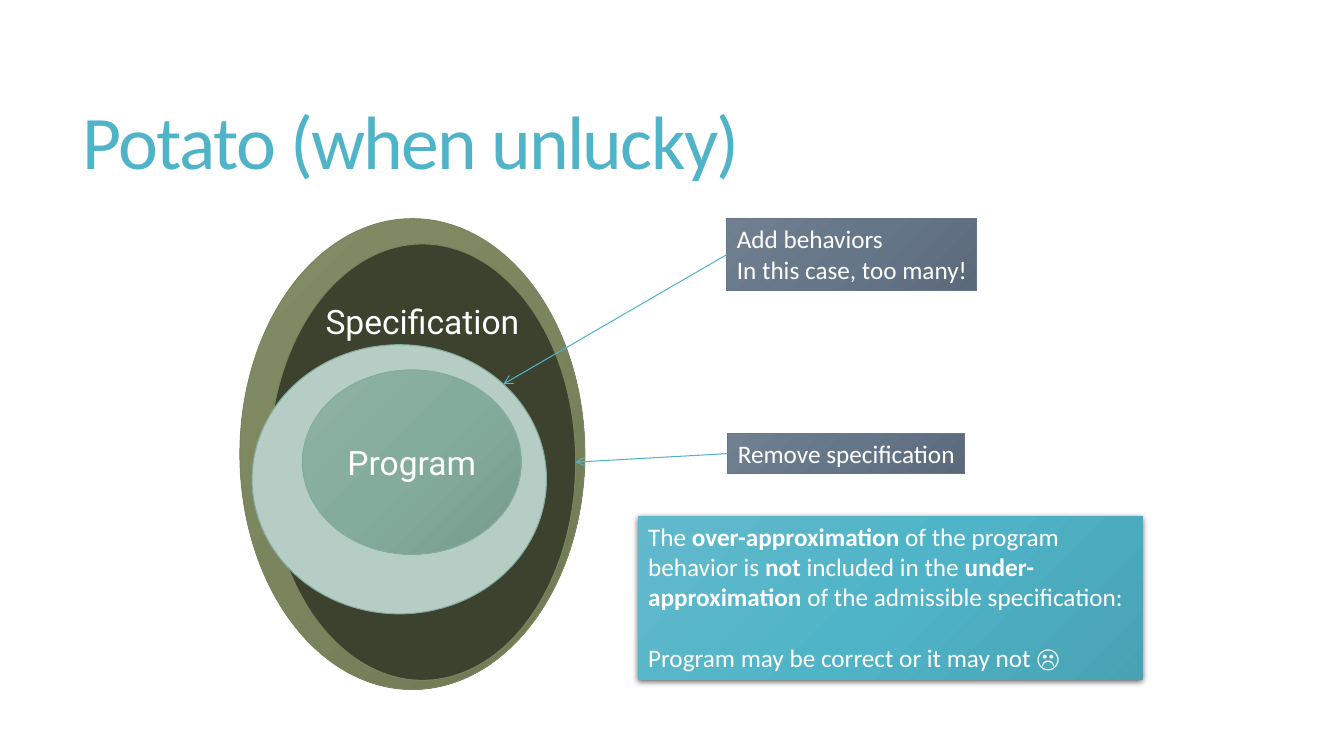
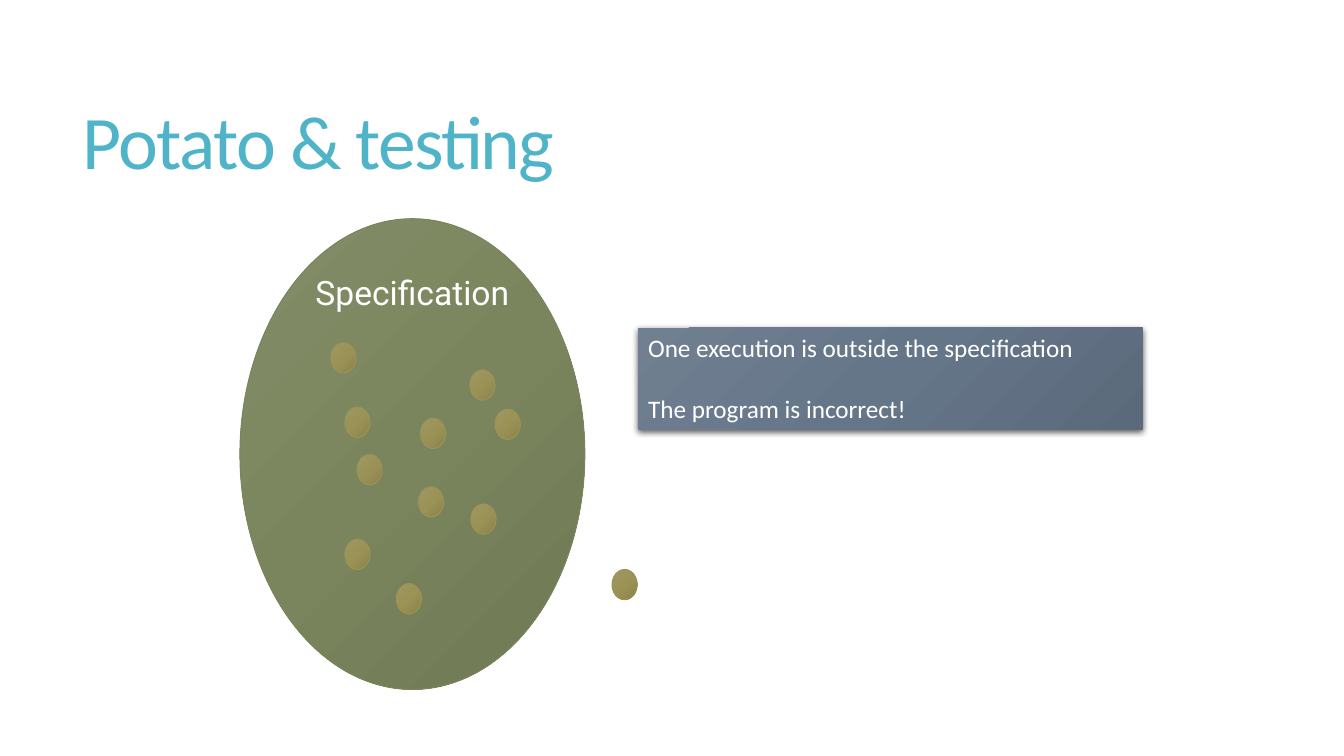
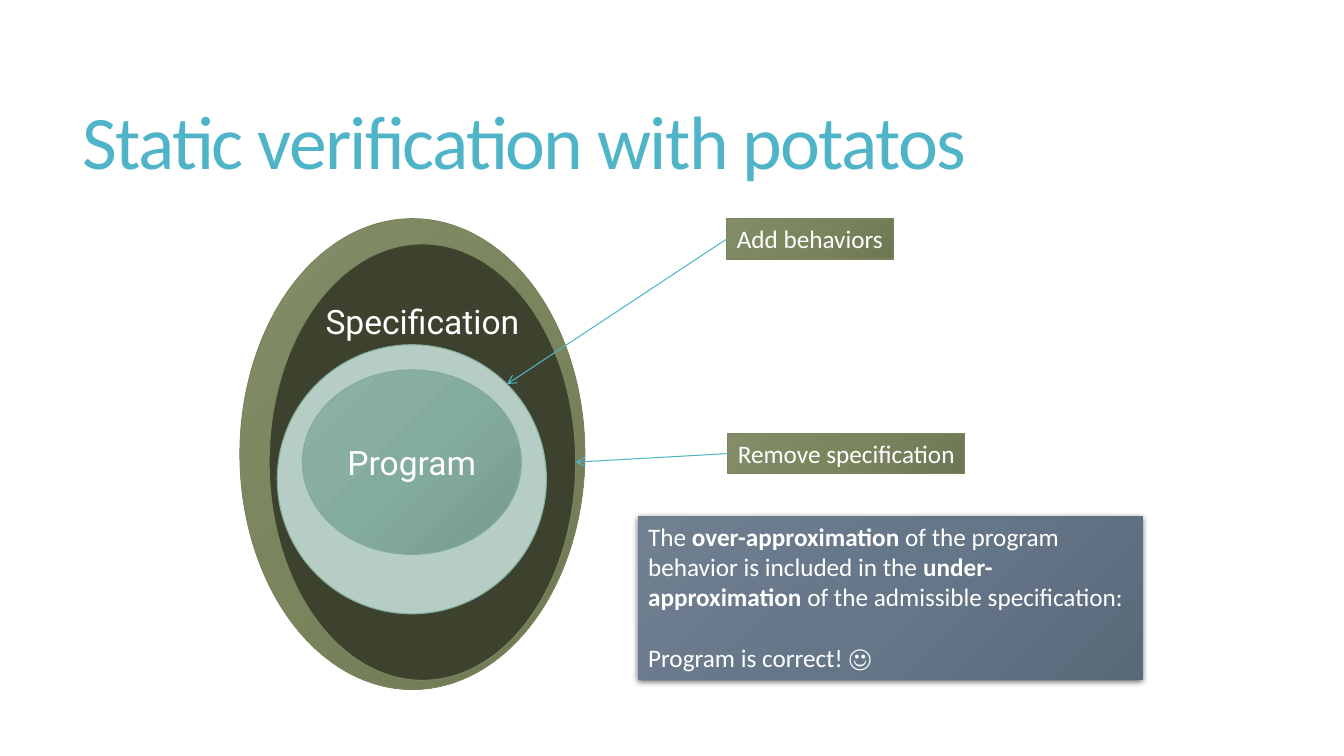
from dataclasses import dataclass
from math import cos, radians, sin

from lxml import etree
from pptx import Presentation
from pptx.dml.color import RGBColor
from pptx.enum.shapes import MSO_CONNECTOR, MSO_SHAPE
from pptx.enum.text import MSO_ANCHOR, MSO_AUTO_SIZE, PP_ALIGN
from pptx.oxml.ns import qn
from pptx.util import Inches, Pt

OVAL, RECT = MSO_SHAPE.OVAL, MSO_SHAPE.RECTANGLE
STRAIGHT = MSO_CONNECTOR.STRAIGHT
TOP, MIDDLE = MSO_ANCHOR.TOP, MSO_ANCHOR.MIDDLE
LEFT, CENTER = PP_ALIGN.LEFT, PP_ALIGN.CENTER
NO_FIT = MSO_AUTO_SIZE.NONE
TITLE_ONLY = 5
LEFT_SITE = 1


@dataclass(frozen=True)
class Theme:
    # Gradients run from the top left to the bottom right
    olive: tuple = ("838E69", "7A855D", "6E7754")
    slate: tuple = ("718091", "657689", "5B6A7B")
    teal: tuple = ("61B9CB", "50B4C8", "48A2B4")
    sage: tuple = ("8EB2A4", "84AC9D", "769B8D")
    ochre: tuple = ("A19965", "9B9256", "8B834D")
    dark_olive: str = "3D422E"
    pale_sage: str = "B5CDC4"
    accent: str = "50B4C8"
    white: str = "FFFFFF"
    text_font: str = "Calibri"
    label_font: str = "Roboto"
    title_size: int = 54
    label_size: int = 24
    text_size: int = 18
    paragraph_gap: int = 22
    line_width: float = 0.75


THEME = Theme()

# Boxes are left, top, width, height in inches
TITLE_BOX = (0.72, 0.55, 11.78, 1.81)
SPECIFICATION = (2.38, 2.17, 3.42, 4.67)
UNDER_SPECIFICATION = (2.67, 2.42, 3.04, 4.33)
PROGRAM = (3, 3.67, 2.17, 1.83)
REMOVE_CALLOUT = (7.22, 4.3, 2.35, 0.4)
VERDICT_BOX = (6.33, 5.12, 5, 1.62)
LABEL_WIDTH, LABEL_HEIGHT = 2.4, 0.5
EXECUTION_SIZE = (0.25, 0.3)


def verdict(relation, conclusion):
    """Two paragraphs of (text, bold) runs about the two approximations."""
    return [
        [("The ", False), ("over-approximation ", True),
         ("of the program behavior is ", False), *relation,
         ("included in the ", False), ("under-approximation ", True),
         ("of the admissible specification:", False)],
        [(conclusion, False)],
    ]


UNLUCKY = {
    "title": "Potato (when unlucky)",
    "over_program": (2.5, 3.42, 2.92, 2.67),
    "add_callout": (7.21, 2.17, 2.48, 0.71),
    "add_lines": ["Add behaviors", "In this case, too many!"],
    "callout_colors": THEME.slate,
    "verdict_colors": THEME.teal,
    "verdict": verdict([("not", True), (" ", False)],
                       "Program may be correct or it may not ☹"),
}
TESTING = {
    "title": "Potato & testing",
    "verdict_box": (6.33, 3.25, 5, 1.01),
    "verdict": [[("One execution is outside the specification", False)],
                [("The program is incorrect!", False)]],
    "executions": [
        (4.17, 4.15), (4.67, 5), (3.54, 4.51), (4.15, 4.83), (4.66, 3.67),
        (3.42, 5.35), (3.28, 3.4), (4.91, 4.06), (3.93, 5.79), (3.42, 4.04),
        (6.07, 5.65),
    ],
}
STATIC = {
    "title": "Static verification with potatos",
    "over_program": (2.75, 3.42, 2.67, 2.67),
    "add_callout": (7.21, 2.17, 1.65, 0.4),
    "add_lines": ["Add behaviors"],
    "callout_colors": THEME.olive,
    "verdict_colors": THEME.slate,
    "verdict": verdict([], "Program is correct! ☺"),
}


def inches(box):
    return [Inches(length) for length in box]


def rgb(color):
    return RGBColor.from_string(color)


def style_font(font, name, size, color, bold=False):
    font.name, font.size, font.bold = name, Pt(size), bold
    font.color.rgb = rgb(color)


def fill_gradient(shape, colors):
    shape.fill.gradient()
    shape.fill.gradient_angle = 315
    stops = shape.element.spPr.find(qn("a:gradFill")).find(qn("a:gsLst"))
    for stop in list(stops):
        stops.remove(stop)
    for position, color in zip((0, 50000, 100000), colors):
        stop = etree.SubElement(stops, qn("a:gs"), pos=str(position))
        etree.SubElement(stop, qn("a:srgbClr"), val=color)


def add_filled(slide, kind, box, fill, outline=None):
    """Fill with a gradient tuple or a single colour."""
    shape = slide.shapes.add_shape(kind, *inches(box))
    shape.shadow.inherit = False
    if isinstance(fill, tuple):
        fill_gradient(shape, fill)
    else:
        shape.fill.solid()
        shape.fill.fore_color.rgb = rgb(fill)
    if outline:
        shape.line.color.rgb = rgb(outline)
        shape.line.width = Pt(THEME.line_width)
    else:
        shape.line.fill.background()
    return shape


def add_shadow(shape):
    effects = shape.element.spPr.find(qn("a:effectLst"))
    shadow = etree.SubElement(
        effects, qn("a:outerShdw"), blurRad=str(Pt(4.5)), dist=str(Pt(1.5)),
        dir="5400000", algn="ctr", rotWithShape="0")
    color = etree.SubElement(shadow, qn("a:srgbClr"), val="000000")
    etree.SubElement(color, qn("a:alpha"), val="63000")


def write_runs(frame, paragraphs, gap=0):
    frame.vertical_anchor = TOP
    frame.auto_size = NO_FIT
    frame.word_wrap = True
    for index, runs in enumerate(paragraphs):
        paragraph = frame.add_paragraph() if index else frame.paragraphs[0]
        paragraph.alignment = LEFT
        if index and gap:
            paragraph.space_before = Pt(gap)
        for text, bold in runs:
            run = paragraph.add_run()
            run.text = text
            style_font(run.font, THEME.text_font, THEME.text_size,
                       THEME.white, bold)


def write_label(frame, text):
    frame.text = text
    frame.vertical_anchor = MIDDLE
    frame.word_wrap = True
    paragraph = frame.paragraphs[0]
    paragraph.alignment = CENTER
    style_font(paragraph.runs[0].font, THEME.label_font, THEME.label_size,
               THEME.white)


def add_specification_label(slide, oval, middle):
    left, _, width, _ = oval
    box = (left + (width - LABEL_WIDTH) / 2, middle - LABEL_HEIGHT / 2,
           LABEL_WIDTH, LABEL_HEIGHT)
    write_label(slide.shapes.add_textbox(*inches(box)).text_frame,
                "Specification")


def add_callout(slide, box, lines, colors):
    callout = add_filled(slide, RECT, box, colors, colors[1])
    # The boxes hug their text, so the right margin is left free for it
    callout.text_frame.margin_right = 0
    write_runs(callout.text_frame, [[(line, False)] for line in lines])
    return callout


def add_verdict(slide, box, paragraphs, colors):
    panel = add_filled(slide, RECT, box, colors)
    add_shadow(panel)
    write_runs(panel.text_frame, paragraphs, THEME.paragraph_gap)


def point_on_oval(oval, degrees):
    left, top, width, height = oval
    angle = radians(degrees)
    return (left + width / 2 * (1 + cos(angle)),
            top + height / 2 * (1 - sin(angle)))


def add_arrow(slide, callout, target):
    arrow = slide.shapes.add_connector(
        STRAIGHT, callout.left, callout.top, *inches(target))
    arrow.begin_connect(callout, LEFT_SITE)
    arrow.line.color.rgb = rgb(THEME.accent)
    arrow.line.width = Pt(THEME.line_width)
    properties = arrow.element.spPr
    etree.SubElement(properties.find(qn("a:ln")), qn("a:tailEnd"),
                     type="arrow")
    etree.SubElement(properties, qn("a:effectLst"))


def add_titled_slide(deck, text):
    slide = deck.slides.add_slide(deck.slide_layouts[TITLE_ONLY])
    title = slide.shapes.title
    title.left, title.top, title.width, title.height = inches(TITLE_BOX)
    frame = title.text_frame
    frame.text = text
    frame.vertical_anchor = MIDDLE
    frame.auto_size = NO_FIT
    paragraph = frame.paragraphs[0]
    paragraph.alignment = LEFT
    paragraph.line_spacing = 0.85
    style_font(paragraph.runs[0].font, THEME.text_font, THEME.title_size,
               THEME.accent)
    for properties in title.element.iter(qn("a:rPr")):
        properties.set("spc", "-120")
    return slide


def build_approximation(deck, content):
    slide = add_titled_slide(deck, content["title"])
    olive, sage = THEME.olive[1], THEME.sage[1]
    over_program = content["over_program"]
    colors = content["callout_colors"]

    add_filled(slide, OVAL, SPECIFICATION, THEME.olive, olive)
    add_filled(slide, OVAL, UNDER_SPECIFICATION, THEME.dark_olive, olive)
    add_specification_label(slide, UNDER_SPECIFICATION, 3.19)
    add_filled(slide, OVAL, over_program, THEME.pale_sage, sage)
    program = add_filled(slide, OVAL, PROGRAM, THEME.sage, sage)
    write_label(program.text_frame, "Program")

    add = add_callout(slide, content["add_callout"], content["add_lines"],
                      colors)
    remove = add_callout(slide, REMOVE_CALLOUT, ["Remove specification"],
                         colors)
    add_arrow(slide, remove, point_on_oval(UNDER_SPECIFICATION, 0))
    add_arrow(slide, add, point_on_oval(over_program, 45))
    add_verdict(slide, VERDICT_BOX, content["verdict"],
                content["verdict_colors"])


def build_testing(deck, content):
    slide = add_titled_slide(deck, content["title"])
    add_filled(slide, OVAL, SPECIFICATION, THEME.olive, THEME.olive[1])
    add_specification_label(slide, SPECIFICATION, 2.9)
    add_verdict(slide, content["verdict_box"], content["verdict"],
                THEME.slate)
    for position in content["executions"]:
        add_filled(slide, OVAL, position + EXECUTION_SIZE, THEME.ochre,
                   THEME.ochre[1])


def main():
    deck = Presentation()
    deck.slide_width, deck.slide_height = Inches(13.33), Inches(7.5)
    build_approximation(deck, UNLUCKY)
    build_testing(deck, TESTING)
    build_approximation(deck, STATIC)
    deck.save("out.pptx")


if __name__ == "__main__":
    main()
